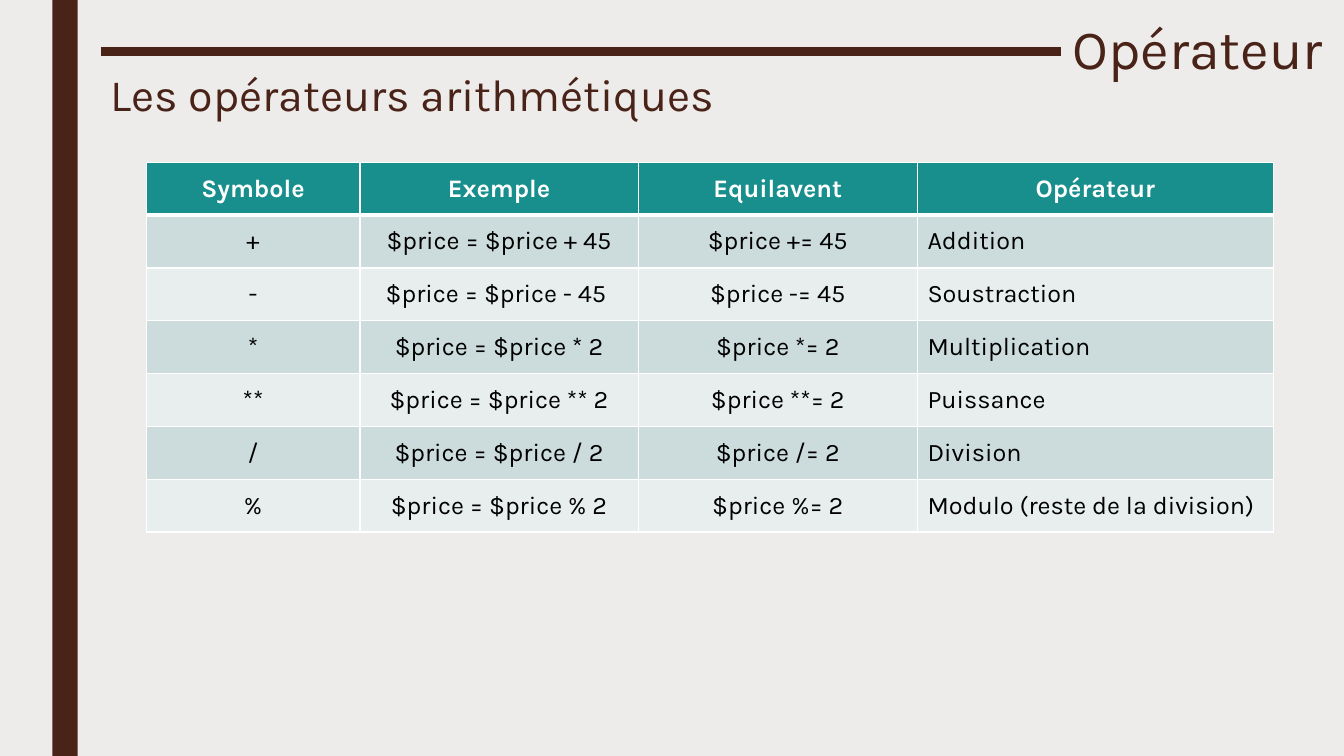
from lxml import etree
from pptx import Presentation
from pptx.dml.color import RGBColor
from pptx.enum.shapes import MSO_CONNECTOR, MSO_SHAPE
from pptx.enum.text import MSO_ANCHOR, PP_ALIGN
from pptx.oxml.ns import qn
from pptx.util import Inches, Pt

LEFT, CENTER, RIGHT = PP_ALIGN.LEFT, PP_ALIGN.CENTER, PP_ALIGN.RIGHT
MIDDLE = MSO_ANCHOR.MIDDLE
RECTANGLE = MSO_SHAPE.RECTANGLE
STRAIGHT = MSO_CONNECTOR.STRAIGHT

COLORS = {
    "background": "EDECEB",
    "brown": "4A2318",
    "header": "188E8D",
    "odd_row": "CCDBDB",
    "even_row": "E8EEEE",
    "white": "FFFFFF",
    "black": "000000",
}
OPERATORS = [
    ("Symbole", "Exemple", "Equilavent", "Opérateur"),
    ("+", "$price = $price + 45", "$price += 45", "Addition"),
    ("-", "$price = $price - 45 ", "$price -= 45", "Soustraction"),
    ("*", "$price = $price * 2", "$price *= 2", "Multiplication"),
    ("**", "$price = $price ** 2", "$price **= 2", "Puissance"),
    ("/", "$price = $price / 2", "$price /= 2", "Division"),
    ("%", "$price = $price % 2", "$price %= 2", "Modulo (reste de la division)"),
]
COLUMN_WIDTHS = (2.12, 2.76, 2.77, 3.53)
ROW_HEIGHT = 3.67 / len(OPERATORS)


class SlideBuilder:
    """Draws styled elements on one slide."""

    def __init__(self, slide, font_name):
        self.slide = slide
        self.font_name = font_name

    def color(self, name):
        return RGBColor.from_string(COLORS[name])

    def paint(self, fill, name):
        fill.solid()
        fill.fore_color.rgb = self.color(name)

    def add_text(self, frame, text, size, color, align=LEFT, bold=False, spacing=1.0):
        paragraph = frame.paragraphs[0]
        paragraph.alignment = align
        paragraph.line_spacing = spacing
        run = paragraph.add_run()
        run.text = text
        formats = {"name": self.font_name, "size": Pt(size), "bold": bold}
        for attribute, value in formats.items():
            setattr(run.font, attribute, value)
        run.font.color.rgb = self.color(color)

    def bar(self, box, color):
        band = self.slide.shapes.add_shape(RECTANGLE, *map(Inches, box))
        band.shadow.inherit = False
        self.paint(band.fill, color)
        band.line.fill.background()

    def rule(self, start, end, color, width):
        rule = self.slide.shapes.add_connector(STRAIGHT, *map(Inches, start + end))
        rule.line.color.rgb = self.color(color)
        rule.line.width = Pt(width)
        etree.SubElement(rule._element.spPr, qn("a:effectLst"))

    def heading(self, box, text, size, color, **layout):
        frame = self.slide.shapes.add_textbox(*map(Inches, box)).text_frame
        formats = {"word_wrap": True, "vertical_anchor": MIDDLE}
        if layout.get("align") == RIGHT:
            formats["margin_left"] = 0
        for attribute, value in formats.items():
            setattr(frame, attribute, value)
        self.add_text(frame, text, size, color, **layout)

    def borders(self, cell, color, widths):
        properties = cell._tc.get_or_add_tcPr()
        for position, (side, width) in enumerate(widths.items()):
            line = etree.Element(qn(f"a:{side}"), w=str(Pt(width)))
            fill = etree.SubElement(line, qn("a:solidFill"))
            etree.SubElement(fill, qn("a:srgbClr"), val=COLORS[color])
            properties.insert(position, line)

    def table(self, left, top, rows, widths, row_height):
        size = (sum(widths), row_height * len(rows))
        frame = self.slide.shapes.add_table(
            len(rows), len(widths), *map(Inches, (left, top, *size))
        )
        table = frame.table
        for column, width in zip(table.columns, widths):
            column.width = Inches(width)
        for index, texts in enumerate(rows):
            table.rows[index].height = Inches(row_height)
            header = index == 0
            fill = "header" if header else ("even_row", "odd_row")[index % 2]
            widths_by_side = {
                "lnL": 1,
                "lnR": 1,
                "lnT": 3 if index == 1 else 1,
                "lnB": 3 if header else 1,
            }
            for column, text in enumerate(texts):
                cell = table.cell(index, column)
                cell.vertical_anchor = MIDDLE
                self.paint(cell.fill, fill)
                self.borders(cell, "white", widths_by_side)
                last = column == len(texts) - 1
                self.add_text(
                    cell.text_frame, text, 18, "white" if header else "black",
                    align=LEFT if last and not header else CENTER, bold=header,
                )


def main():
    presentation = Presentation()
    presentation.slide_width = Inches(13.33)
    presentation.slide_height = Inches(7.5)
    slide = presentation.slides.add_slide(presentation.slide_layouts[6])
    builder = SlideBuilder(slide, "Karla")
    builder.paint(slide.background.fill, "background")
    builder.bar((0.52, 0, 0.25, 7.5), "brown")
    builder.heading((10.52, 0.12, 2.7, 0.79), "Opérateur", 39.6, "brown",
                    align=RIGHT, spacing=0.89)
    builder.rule((1, 0.51), (10.52, 0.51), "brown", 6)
    builder.heading((1, 0.7, 7.89, 0.57), "Les opérateurs arithmétiques", 32, "brown",
                    spacing=0.79)
    builder.table(1.45, 1.61, OPERATORS, COLUMN_WIDTHS, ROW_HEIGHT)
    presentation.save("out.pptx")


if __name__ == "__main__":
    main()
